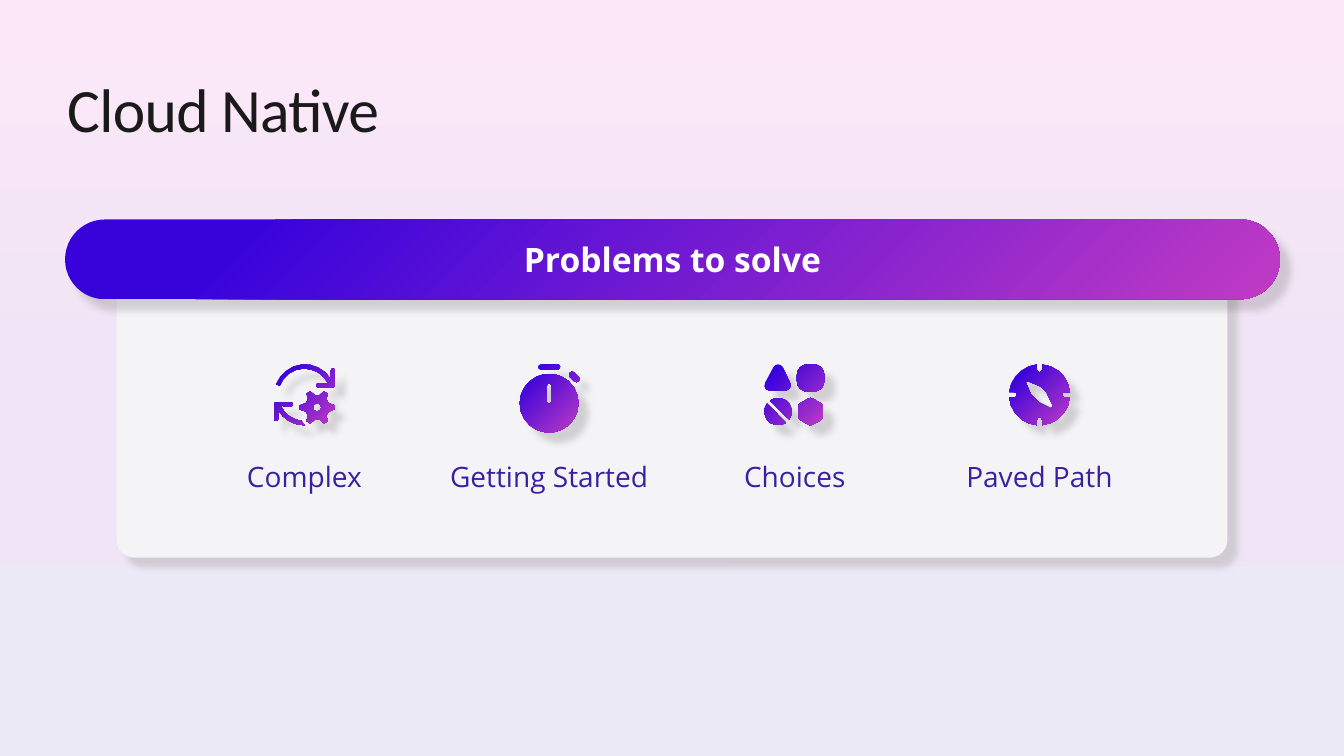
import copy
import math
import pptx
import pptx.dml.color
import pptx.enum.shapes
import pptx.enum.text
import pptx.oxml
import pptx.oxml.ns
import pptx.util

PX = 9525  # EMU per px
RGB = pptx.dml.color.RGBColor.from_string
SHAPE = pptx.enum.shapes.MSO_SHAPE
ALIGN = pptx.enum.text.PP_ALIGN
MIDDLE = pptx.enum.text.MSO_ANCHOR.MIDDLE
qn = pptx.oxml.ns.qn
COLORS = {
    "bg_top": "FCE7F8", "bg_mid": "F0E5F6", "bg_bottom": "EDEAF7",
    "card": "F4F3F5", "card_shadow": "B1B3B3", "shadow": "454142",
    "pink": "C03BC4", "violet": "3803DB", "label": "3A20A0",
    "title": "1A1A1A", "white": "FFFFFF",
}


def arc(cx, cy, r, start, end):
    """Points along an arc, in degrees clockwise from the right; larger arcs get more."""
    steps = max(1, math.ceil(abs(end - start) * math.sqrt(r) / 90))
    angles = [math.radians(start + (end - start) * i / steps) for i in range(steps + 1)]
    return [(cx + r * math.cos(a), cy + r * math.sin(a)) for a in angles]


def finish(sp, shadow, alpha, solid=None):
    """Fill the shape (violet-pink gradient unless solid), drop its line, add a shadow."""
    if solid:
        sp.fill.solid()
        sp.fill.fore_color.rgb = RGB(COLORS[solid])
    else:
        sp.fill.gradient()
        for stop, pos, name in zip(sp.fill.gradient_stops, (0, 0.85), ("pink", "violet")):
            stop.position = pos
            stop.color.rgb = RGB(COLORS[name])
        lin = sp.element.spPr.find(".//" + qn("a:lin"))
        lin.getparent().replace(lin, pptx.oxml.parse_xml(
            f'<a:path {pptx.oxml.ns.nsdecls("a")} path="circle">'
            '<a:fillToRect l="100000" t="100000"/></a:path>'))
    sp.line.fill.background()
    sp.shadow.inherit = False
    sp.element.spPr.find(qn("a:effectLst")).append(pptx.oxml.parse_xml(
        f'<a:outerShdw {pptx.oxml.ns.nsdecls("a")} blurRad="63500" dist="127000" dir="2700000"'
        f' algn="tl" rotWithShape="0"><a:srgbClr val="{COLORS[shadow]}">'
        f'<a:alpha val="{alpha * 1000}"/></a:srgbClr></a:outerShdw>'))


prs = pptx.Presentation()
prs.slide_width, prs.slide_height = 1280 * PX, 720 * PX
s = prs.slides.add_slide(prs.slide_layouts[5])

# Background
bg = s.background.fill
bg.gradient()
bg.gradient_angle = 270
gs_list = s.element.find(".//" + qn("a:gsLst"))
gs_list.append(copy.deepcopy(gs_list[-1]))
for stop, pos, name in zip(bg.gradient_stops, (0, 0.5, 1), ("bg_top", "bg_mid", "bg_bottom")):
    stop.position = pos
    stop.color.rgb = RGB(COLORS[name])

# Card
card = s.shapes.add_shape(SHAPE.ROUNDED_RECTANGLE, 111 * PX, 250 * PX, 1058 * PX, 281 * PX)
card.adjustments[0] = 0.06
finish(card, "card_shadow", 50, "card")

# Icon outlines, in px from the icon's top left corner
cycle = [
    arc(29, 29, 29, 200, 329) + arc(56, 6, 2, 180, 360) + arc(56, 20, 2, 0, 90)
    + arc(42, 20, 2, 90, 270) + arc(29, 29, 25, 335, 200),
    arc(2, 52, 2, 180, 0)[::-1] + arc(16, 39, 2, 90, -90)
    + arc(2, 38, 2, 270, 180),
    arc(29, 29, 25, 155, 97) + arc(29, 29, 29, 90, 150),
    [p for a in range(0, 360, 60)
     for p in arc(41, 41, 16.5, a - 7, a + 7) + arc(41, 41, 11.5, a + 20, a + 40)],
    arc(41, 41, 4, 0, 360),
]
cycle[1:3] = [
    arc(2, 52, 2, 0, 180) + arc(2, 38, 2, 180, 270) + arc(16, 38, 2, 270, 450)
    + arc(29, 29, 25, 155, 97) + arc(29, 29, 29, 90, 150),
]
stopwatch = [
    arc(29, 37, 28, 0, 360),
    arc(29, 20, 2, 180, 360) + arc(29, 36, 2, 0, 180),
    arc(51, 10, 3, 135, 315) + arc(55, 14, 3, -45, 135),
    arc(21, 2.5, 2.5, 90, 270) + arc(37, 2.5, 2.5, -90, 90),
]
choices = [
    [p for x, y, a in ((41, 10, 180), (47, 10, 270), (47, 16, 0), (41, 16, 90))
     for p in arc(x, y, 10, a, a + 90)],
    arc(13, 5, 5, 207, 333) + arc(20, 20, 5, -27, 90) + arc(5, 20, 5, 90, 207),
    arc(13, 45, 13, 234, 395),
    arc(13, 45, 13, 55, 216),
    [p for a in range(-90, 270, 60)
     for x, y in arc(44, 45, 9, a, a)[:1] for p in arc(x, y, 4, a - 30, a + 30)],
]
compass = [
    [p for a in range(0, 360, 90) for x, y in arc(29, 29, 24, a, a)[:1]
     for p in arc(x, y, 2.5, a - 90, a - 270) + arc(29, 29, 29, a + 5, a + 85)],
    [(16, 17), (21, 29), (28, 36), (40, 42), (42, 40), (36, 27), (30, 21), (18, 16)],
]

# Problems: label, label width, icon left, icon outlines
problems = [
    ("Complex", 192, 261, cycle),
    ("Getting Started", 231, 494, stopwatch),
    ("Choices", 192, 728, choices),
    ("Paved Path", 211, 961, compass),
]
labels = []
for text, width, left, outlines in problems:
    box = s.shapes.add_textbox((left + 29) * PX - width * PX // 2, 433 * PX, width * PX, 42 * PX)
    labels.append((box, text, 20, "Open Sans", "label", ALIGN.CENTER))
    ff = None
    for outline in outlines:
        pts = [(round((left + x) * PX), round((347 + y) * PX)) for x, y in outline]
        if ff is None:
            ff = s.shapes.build_freeform(*pts[0], scale=1.0)
        else:
            ff.move_to(*pts[0])
        ff.add_line_segments(pts[1:], close=True)
    finish(ff.convert_to_shape(), "shadow", 20)

# Banner and title
banner = s.shapes.add_shape(SHAPE.ROUNDED_RECTANGLE, 62 * PX, 209 * PX, 1157 * PX, 76 * PX)
banner.adjustments[0] = 0.5
finish(banner, "shadow", 20)
title = s.shapes.title
title.left, title.top, title.width, title.height = 64 * PX, 64 * PX, 1152 * PX, 86 * PX
for sp in (banner, title):
    tf = sp.text_frame
    tf.vertical_anchor = MIDDLE
    tf.margin_left = tf.margin_right = tf.margin_top = tf.margin_bottom = 0

# Text
for sp, text, size, font, color, align in labels + [
    (banner, "Problems to solve", 24, "Open Sans", "white", ALIGN.CENTER),
    (title, "Cloud Native", 44, "Calibri", "title", ALIGN.LEFT),
]:
    sp.text_frame.word_wrap = True
    p = sp.text_frame.paragraphs[0]
    p.alignment = align
    r = p.add_run()
    r.text = text
    r.font.size = pptx.util.Pt(size)
    r.font.name = font
    r.font.color.rgb = RGB(COLORS[color])
banner.text_frame.paragraphs[0].runs[0].font.bold = True
title_p = title.text_frame.paragraphs[0]
title_p.line_spacing = 0.9
title_p.runs[0].font._element.set("spc", "-50")

prs.save("out.pptx")
